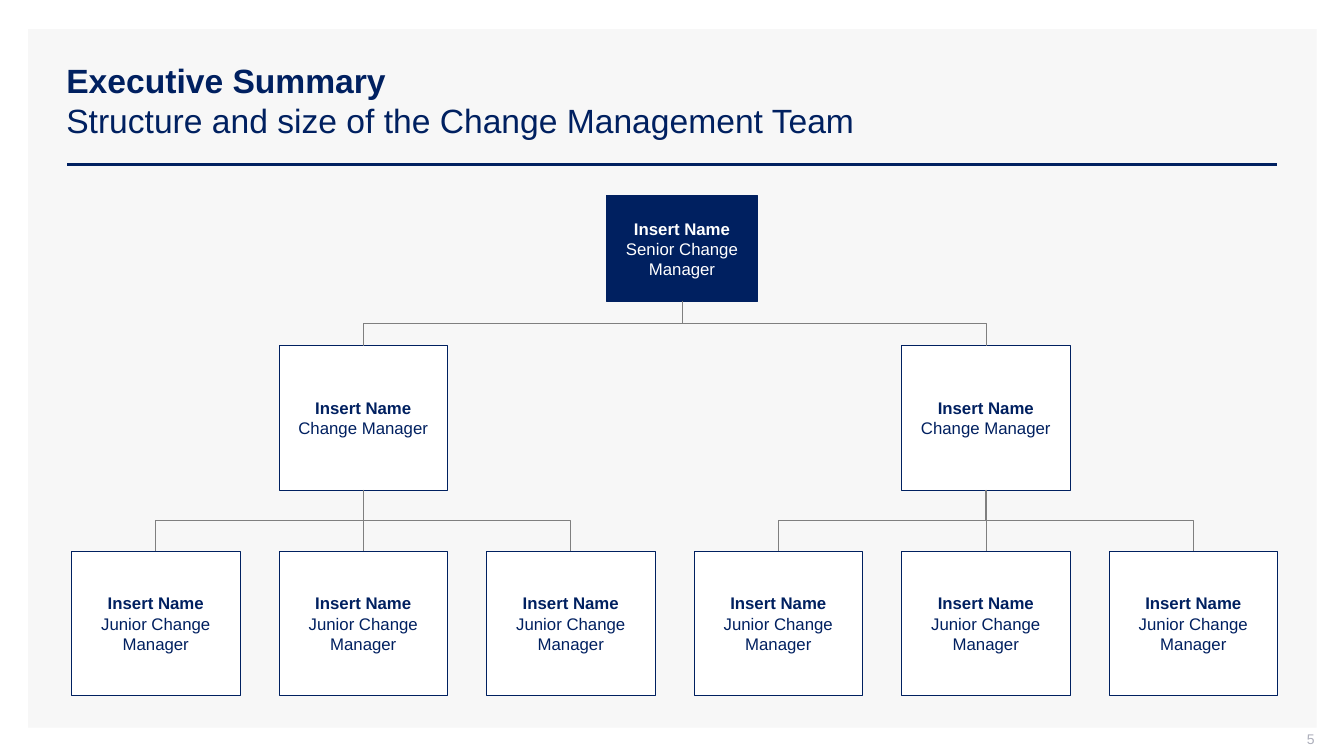
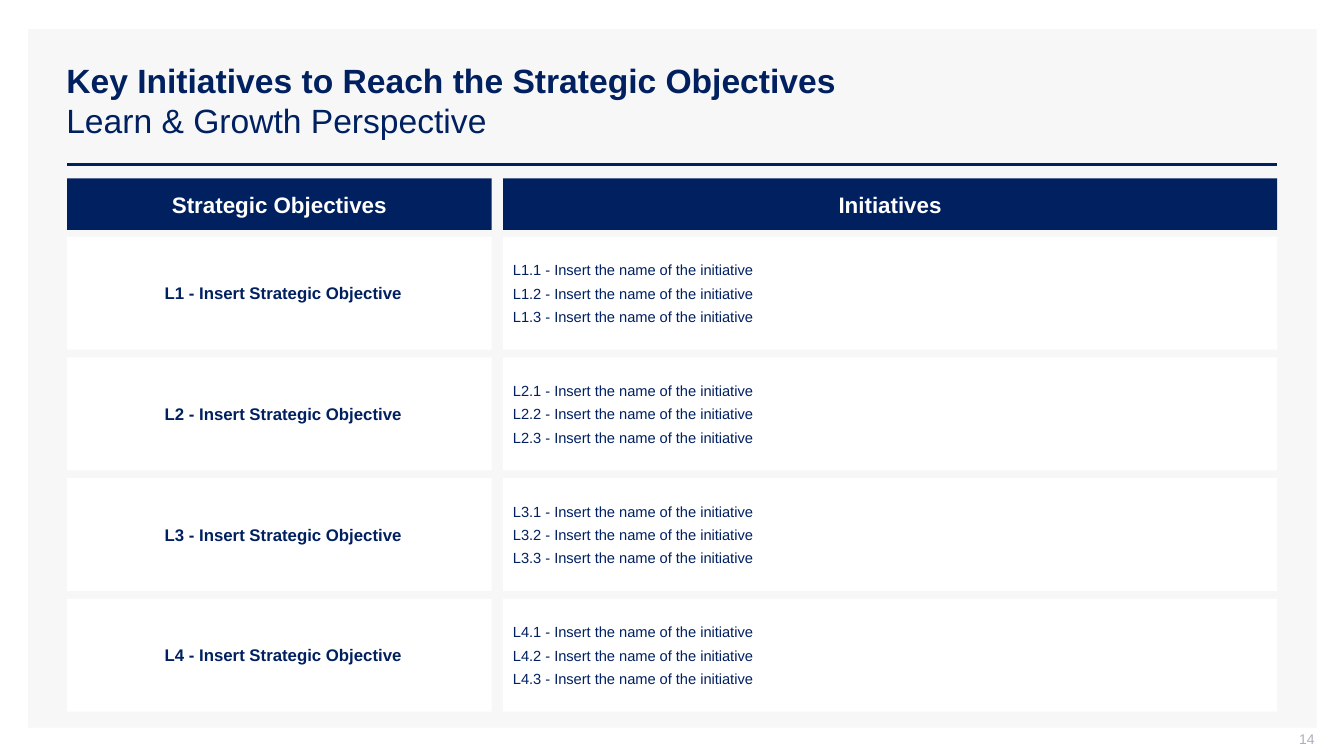
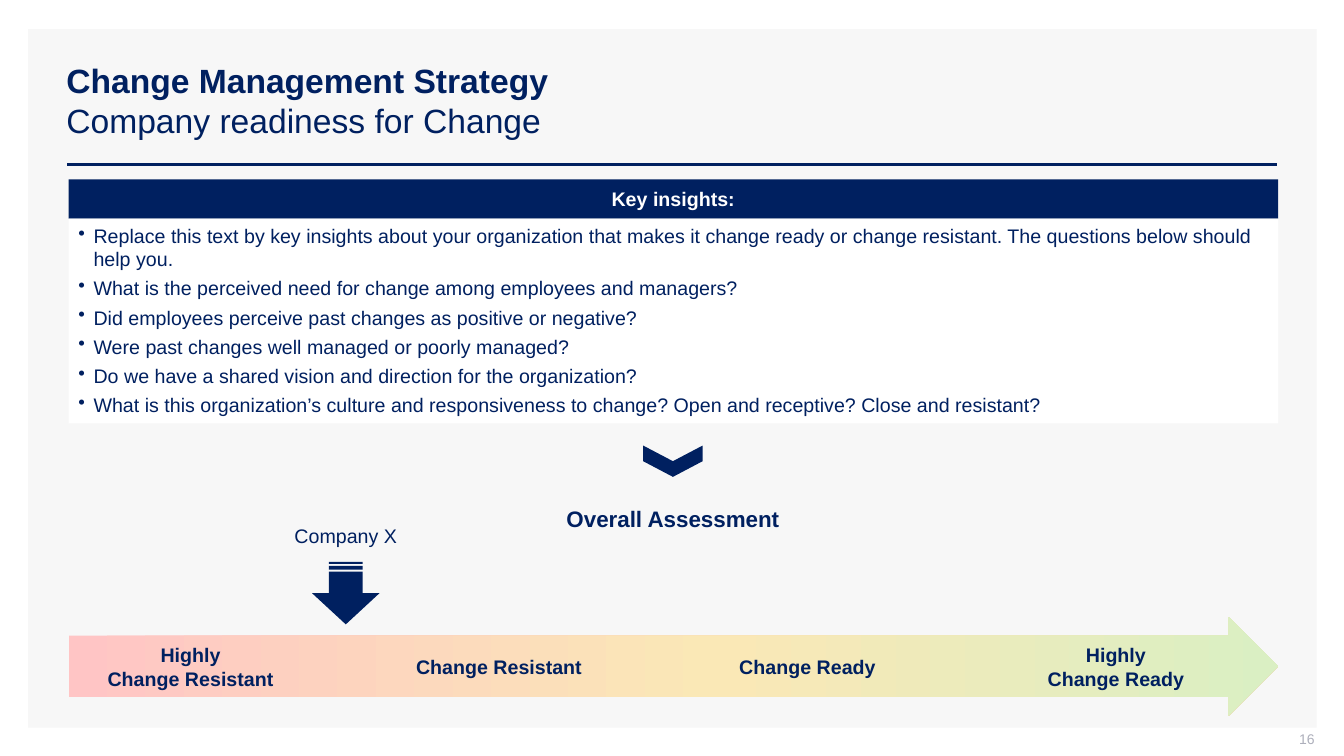
import copy

import pptx
import pptx.dml.color
import pptx.enum.shapes
import pptx.enum.text
import pptx.oxml
import pptx.oxml.ns
import pptx.util

RGBColor = pptx.dml.color.RGBColor
NAVY = RGBColor(0x00, 0x20, 0x60)
WHITE = RGBColor(0xFF, 0xFF, 0xFF)
PANEL_GREY = RGBColor(0xF7, 0xF7, 0xF7)
LINK_GREY = RGBColor(0x7F, 0x7F, 0x7F)
NUMBER_GREY = RGBColor(0xAD, 0xAF, 0xBB)
RESISTANT_RED = RGBColor(0xFF, 0xC5, 0xC5)
NEUTRAL_YELLOW = RGBColor(0xFA, 0xE8, 0xB6)
READY_GREEN = RGBColor(0xDA, 0xEF, 0xC3)

FONT = "Arial"
SHAPE = pptx.enum.shapes.MSO_SHAPE
CONNECTOR = pptx.enum.shapes.MSO_CONNECTOR
ALIGN = pptx.enum.text.PP_ALIGN
ANCHOR = pptx.enum.text.MSO_ANCHOR
qn = pptx.oxml.ns.qn

deck = pptx.Presentation()
deck.slide_width = pptx.util.Inches(13.33)
deck.slide_height = pptx.util.Inches(7.5)

# All places are on a grid of 100 columns and 100 rows.
COL = deck.slide_width / 100
ROW = deck.slide_height / 100
LEFT, SPAN = 5, 90


def add_box(slide, x, y, width, height, fill=None, line=None, kind=SHAPE.RECTANGLE):
    """Add a shape, placed in grid columns and rows; without a fill, a text box."""
    place = [int(x * COL), int(y * ROW), int(width * COL), int(height * ROW)]
    if fill is None:
        return slide.shapes.add_textbox(*place)
    box = slide.shapes.add_shape(kind, *place)
    box.shadow.inherit = False
    box.fill.solid()
    box.fill.fore_color.rgb = fill
    if line is None:
        box.line.fill.background()
    else:
        box.line.color.rgb = line
        box.line.width = pptx.util.Pt(0.5)
    return box


def write_text(box, lines, size=14, color=NAVY, bold_lines=0, align=ALIGN.CENTER,
               anchor=ANCHOR.MIDDLE, margins=(0.1, 0.05, 0.1, 0.05), gap=0, bullet=None):
    """Write one paragraph a line; the first bold_lines are bold, margins run from the left."""
    frame = box.text_frame
    frame.word_wrap = True
    frame.vertical_anchor = anchor
    (frame.margin_left, frame.margin_top,
     frame.margin_right, frame.margin_bottom) = map(pptx.util.Inches, margins)
    for index, line in enumerate(lines):
        paragraph = frame.add_paragraph() if index else frame.paragraphs[0]
        paragraph.text = line
        paragraph.alignment = align
        if index and gap:
            paragraph.space_before = pptx.util.Pt(gap)
        if bullet:
            properties = paragraph._p.get_or_add_pPr()
            indent = pptx.util.Inches(0.15)
            properties.set("marL", str(indent))
            properties.set("indent", str(-indent))
            mark = pptx.oxml.parse_xml(f'<a:buChar {pptx.oxml.ns.nsdecls("a")} char="{bullet}"/>')
            properties.append(mark)
        paragraph.font.name = FONT
        paragraph.font.size = pptx.util.Pt(size)
        paragraph.font.bold = index < bold_lines
        paragraph.font.color.rgb = color


# Panel, rule, title and number of every slide
slides = []
for number, title, subtitle in [
    ("5", "Executive Summary", "Structure and size of the Change Management Team"),
    ("14", "Key Initiatives to Reach the Strategic Objectives", "Learn & Growth Perspective"),
    ("16", "Change Management Strategy", "Company readiness for Change"),
]:
    slide = deck.slides.add_slide(deck.slide_layouts[6])
    add_box(slide, 2.1, 3.87, 95.87, 92.4, PANEL_GREY)
    rule_y = int(21.73 * ROW)
    rule = slide.shapes.add_connector(
        CONNECTOR.STRAIGHT, int(LEFT * COL), rule_y, int((LEFT + SPAN) * COL), rule_y)
    rule.line.color.rgb = NAVY
    rule.line.width = pptx.util.Pt(2)
    write_text(add_box(slide, 4.2, 5.33, 90.85, 15.87), [title, subtitle],
               size=24, bold_lines=1, align=ALIGN.LEFT)
    write_text(add_box(slide, 75.32, 96.67, 22.5, 2.8), [number],
               size=10, color=NUMBER_GREY, align=ALIGN.RIGHT, margins=(0.1, 0, 0, 0.05))
    slides.append(slide)
team_slide, initiatives_slide, readiness_slide = slides

# Slide 1: the team, six columns wide
MEMBER_X, MEMBER_PITCH, MEMBER_WIDTH, MEMBER_HEIGHT = 5.33, 15.44, 12.53, 19.07
TEAM_MARGINS = (0.02, 0.02, 0.02, 0.02)

senior = add_box(team_slide, 45.15, 25.87, 11.2, 14, NAVY, NAVY)
write_text(senior, ["Insert Name", "Senior Change Manager"], size=12, color=WHITE,
           bold_lines=1, margins=TEAM_MARGINS)
members = {}
for role, y, columns in [("Change Manager", 45.73, (1, 4)),
                         ("Junior Change Manager", 72.93, range(6))]:
    for column in columns:
        member = add_box(team_slide, MEMBER_X + column * MEMBER_PITCH, y,
                         MEMBER_WIDTH, MEMBER_HEIGHT, WHITE, NAVY)
        write_text(member, ["Insert Name", role], size=12, bold_lines=1, margins=TEAM_MARGINS)
        members[role, column] = member

reports = [(senior, members["Change Manager", column]) for column in (1, 4)]
reports += [(members["Change Manager", 1 + column // 3 * 3],
             members["Junior Change Manager", column]) for column in range(6)]
for boss, member in reports:
    start_x, start_y = boss.left + boss.width // 2, boss.top + boss.height
    end_x, end_y = member.left + member.width // 2, member.top
    across, down = abs(end_x - start_x), end_y - start_y
    kind = CONNECTOR.ELBOW if across else CONNECTOR.STRAIGHT
    link = team_slide.shapes.add_connector(kind, start_x, start_y, end_x, end_y)
    link.begin_connect(boss, 2)
    link.end_connect(member, 0)
    if across:
        # An elbow leaves sideways, so it is turned to leave downwards.
        to_right = end_x > start_x
        link.left = (start_x + end_x - down) // 2
        link.top = (start_y + end_y - across) // 2
        link.width, link.height = down, across
        turn = link.element.spPr.find(qn("a:xfrm"))
        turn.set("rot", str((270 if to_right else 90) * 60000))
        turn.set("flipH", "1" if to_right else "0")
    link.line.color.rgb = LINK_GREY
    link.line.width = pptx.util.Pt(0.5)

# Slide 2: objectives beside their initiatives
OBJECTIVE_WIDTH, INITIATIVE_X, INITIATIVE_WIDTH = 31.58, 37.43, 57.6
for heading, x, width in [("Strategic Objectives", LEFT, OBJECTIVE_WIDTH),
                          ("Initiatives", INITIATIVE_X, INITIATIVE_WIDTH)]:
    write_text(add_box(initiatives_slide, x, 23.6, width, 6.8, NAVY), [heading],
               size=16, color=WHITE, bold_lines=1)
for row in range(4):
    y, code = 31.33 + row * 15.96, f"L{row + 1}"
    write_text(add_box(initiatives_slide, LEFT, y, OBJECTIVE_WIDTH, 14.93, WHITE),
               [f"{code} - Insert Strategic Objective"], size=12, bold_lines=1,
               margins=(0.1, 0.05, 0.02, 0.05))
    write_text(add_box(initiatives_slide, INITIATIVE_X, y, INITIATIVE_WIDTH, 14.93, WHITE),
               [f"{code}.{item} - Insert the name of the initiative" for item in (1, 2, 3)],
               size=10.5, align=ALIGN.LEFT, gap=4)

# Slide 3: insights above the readiness scale
INSIGHT_X = 5.1
write_text(add_box(readiness_slide, INSIGHT_X, 23.73, SPAN, 5.2, NAVY), ["Key insights:"],
           color=WHITE, bold_lines=1)
write_text(add_box(readiness_slide, INSIGHT_X, 28.93, SPAN, 27.07, WHITE), [
    "Replace this text by key insights about your organization that makes it change ready "
    "or change resistant. The questions below should help you.",
    "What is the perceived need for change among employees and managers?",
    "Did employees perceive past changes as positive or negative?",
    "Were past changes well managed or poorly managed?",
    "Do we have a shared vision and direction for the organization?",
    "What is this organization’s culture and responsiveness to change? "
    "Open and receptive? Close and resistant?",
], align=ALIGN.LEFT, anchor=ANCHOR.TOP, gap=4, bullet="•")

chevron = add_box(readiness_slide, 48.9, 57.07, 2.33, 7.87, NAVY, kind=SHAPE.CHEVRON)
chevron.rotation = 90
write_text(add_box(readiness_slide, 34.05, 66.13, 32.03, 4.93), ["Overall Assessment"],
           size=16, bold_lines=1)

scale = add_box(readiness_slide, INSIGHT_X, 81.6, SPAN, 13.07, WHITE, kind=SHAPE.RIGHT_ARROW)
scale.adjustments[0] = 0.62
scale.adjustments[1] = 0.5
scale.fill.gradient()
scale.fill.gradient_angle = 0
stop_list = scale.element.spPr.find(".//" + qn("a:gsLst"))
stop_list.append(copy.deepcopy(stop_list[0]))
scale_stops = [(0, RESISTANT_RED), (0.54, NEUTRAL_YELLOW), (1, READY_GREEN)]
for stop, (position, color) in zip(scale.fill.gradient_stops, scale_stops):
    stop.position = position
    stop.color.rgb = color

for step, label in enumerate([["Highly", "Change Resistant"], ["Change Resistant"],
                              ["Change Ready"], ["Highly", "Change Ready"]]):
    write_text(add_box(readiness_slide, 5.33 + step * 22.95, 84.4, 17.7, 7.6), label,
               bold_lines=2)

write_text(add_box(readiness_slide, 18.23, 68.53, 15, 4.53), ["Company X"])
company_marker = add_box(readiness_slide, 23.4, 74, 4.65, 8.93, NAVY,
                         kind=SHAPE.STRIPED_RIGHT_ARROW)
company_marker.rotation = 90

# Lines carry no shadow
for slide in slides:
    for properties in slide.element.iterfind(".//" + qn("p:cxnSp") + "/" + qn("p:spPr")):
        properties.append(pptx.oxml.parse_xml(f'<a:effectLst {pptx.oxml.ns.nsdecls("a")}/>'))

deck.save("out.pptx")
